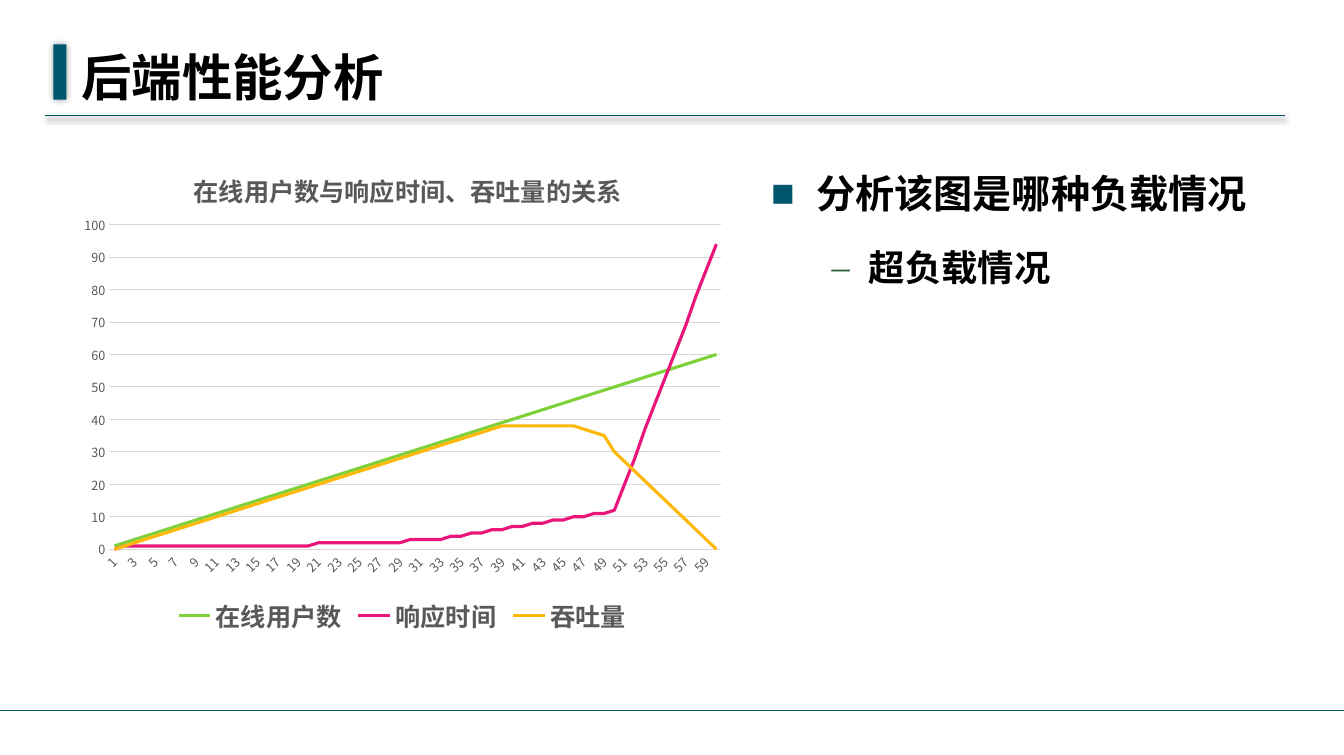
"""Build the slide on back-end performance analysis."""
from dataclasses import dataclass
from itertools import pairwise

from lxml import etree
from pptx import Presentation
from pptx.chart.data import CategoryChartData
from pptx.dml.color import RGBColor
from pptx.enum.chart import XL_CHART_TYPE, XL_LEGEND_POSITION, XL_TICK_MARK
from pptx.enum.shapes import MSO_CONNECTOR, MSO_SHAPE
from pptx.enum.text import MSO_ANCHOR
from pptx.oxml import parse_xml
from pptx.oxml.ns import nsdecls, qn
from pptx.util import Inches, Pt

LINE = XL_CHART_TYPE.LINE
BOTTOM = XL_LEGEND_POSITION.BOTTOM
NO_TICK = XL_TICK_MARK.NONE
STRAIGHT = MSO_CONNECTOR.STRAIGHT
RECT = MSO_SHAPE.RECTANGLE
MIDDLE = MSO_ANCHOR.MIDDLE

WIDE, HIGH = Inches(13.35), Inches(7.5)
SANS, SERIF = "Noto Sans CJK SC", "Times New Roman"
COLORS = {
    "teal": "00566E", "black": "000000", "gray": "595959", "grid": "D9D9D9",
    "green": "7FD13B", "pink": "EA157A", "gold": "FEB80A", "leaf": "2F6231",
}


@dataclass(frozen=True)
class Box:
    """A place in percent of the slide's width and height."""
    left: float
    top: float
    width: float
    height: float = 0

    def emu(self) -> tuple[int, int, int, int]:
        return (int(WIDE * self.left / 100), int(HIGH * self.top / 100),
                int(WIDE * self.width / 100), int(HIGH * self.height / 100))


@dataclass(frozen=True)
class Shade:
    blur: float
    dist: float
    turn: int
    alpha: int


@dataclass(frozen=True)
class Rule:
    box: Box
    shade: Shade | None = None


@dataclass(frozen=True)
class Point:
    text: str
    size: int
    mark: str
    hue: str
    level: int
    left: float
    hang: float
    before: float


@dataclass(frozen=True)
class Curve:
    name: str
    hue: str
    knots: tuple[tuple[int, int], ...]

    def values(self) -> list[int]:
        vals = [self.knots[0][1]]
        for (x, y), (end, goal) in pairwise(self.knots):
            vals += [round(y + (goal - y) * (n - x) / (end - x))
                     for n in range(x + 1, end + 1)]
        return vals


RULES = (
    Rule(Box(3.37, 15.33, 92.21), Shade(4, 1.6, 90, 42)),
    *(Rule(Box(left, 94.13, 36.48)) for left in (63.52, 0, 28.61)),
)
BAR, BAR_SHADE = Box(3.97, 5.87, 0.97, 7.33), Shade(5, 0, 0, 40)
HEAD = Box(5.17, 5.87, 67.79, 8.4)
PLOT = Box(5.17, 18.53, 49.51, 66.13)
BODY = Box(56.48, 18.53, 42, 73.47)
POINTS = (
    Point("分析该图是哪种负载情况", 28, "■", "teal", 0, 0.45, 0.45, 0),
    Point("超负载情况", 26, "–", "leaf", 1, 0.97, 0.37, 5.2),
)
CURVES = (
    Curve("在线用户数", "green", ((1, 1), (60, 60))),
    Curve("响应时间", "pink", ((1, 0), (2, 1), (20, 1), (21, 2), (29, 2), (30, 3),
                           (33, 3), (50, 12), (60, 94))),
    Curve("吞吐量", "gold", ((1, 0), (39, 38), (46, 38), (49, 35), (50, 30), (60, 0))),
)


def color(hue: str) -> RGBColor:
    return RGBColor.from_string(COLORS[hue])


def style(font, size: float, hue: str, bold: bool, face: str = SANS) -> None:
    font.size, font.bold, font.name = Pt(size), bold, face
    font.color.rgb = color(hue)
    etree.SubElement(font._rPr, qn("a:ea"), typeface=SANS)


def stroke(line, hue: str, width: float) -> None:
    line.color.rgb = color(hue)
    line.width = Pt(width)


def shadow(shape, shade: Shade | None) -> None:
    for old in shape._element.spPr.findall(qn("a:effectLst")):
        shape._element.spPr.remove(old)
    cast = "" if shade is None else (
        f'<a:outerShdw blurRad="{Pt(shade.blur)}" dist="{Pt(shade.dist)}" '
        f'dir="{shade.turn * 60000}" rotWithShape="0"><a:srgbClr val="{COLORS["black"]}">'
        f'<a:alpha val="{shade.alpha * 1000}"/></a:srgbClr></a:outerShdw>')
    shape._element.spPr.append(
        parse_xml(f'<a:effectLst {nsdecls("a")}>{cast}</a:effectLst>'))


def draw_rule(shapes, rule: Rule) -> None:
    left, top, width, _ = rule.box.emu()
    line = shapes.add_connector(STRAIGHT, left, top, left + width, top)
    stroke(line.line, "teal", 1)
    shadow(line, rule.shade)


def draw_bar(shapes) -> None:
    bar = shapes.add_shape(RECT, *BAR.emu())
    bar.fill.solid()
    bar.fill.fore_color.rgb = color("teal")
    bar.line.fill.background()
    shadow(bar, BAR_SHADE)


def add_frame(shapes, box: Box):
    frame = shapes.add_textbox(*box.emu()).text_frame
    frame.word_wrap = True
    frame.margin_left = frame.margin_right = Inches(0.12)
    frame.margin_top = frame.margin_bottom = Inches(0.06)
    return frame


def add_run(para, text: str, size: float, hue: str, face: str = SANS) -> None:
    run = para.add_run()
    run.text = text
    style(run.font, size, hue, True, face)


def add_point(para, point: Point) -> None:
    props = para._p.get_or_add_pPr()
    props.set("marL", str(Inches(point.left)))
    props.set("indent", str(-Inches(point.hang)))
    para.level, para.line_spacing, para.space_before = point.level, 1.5, Pt(point.before)
    tint = etree.SubElement(props, qn("a:buClr"))
    etree.SubElement(tint, qn("a:srgbClr"), val=COLORS[point.hue])
    etree.SubElement(props, qn("a:buFont"), typeface=SERIF)
    etree.SubElement(props, qn("a:buChar"), char=point.mark)
    add_run(para, point.text, point.size, "black", SERIF)


def place(host, parts: dict[str, float], inner: bool = False) -> None:
    """Put a chart part at set shares of the chart's size."""
    old = host.find(qn("c:layout"))
    if old is not None:
        host.remove(old)
    tags = '<c:layoutTarget val="inner"/>' if inner else ""
    tags += '<c:xMode val="edge"/><c:yMode val="edge"/>'
    tags += "".join(f'<c:{key} val="{val}"/>' for key, val in parts.items())
    host.insert(0 if inner else 1, parse_xml(
        f'<c:layout {nsdecls("c")}><c:manualLayout>{tags}</c:manualLayout></c:layout>'))


def draw_chart(shapes) -> None:
    data = CategoryChartData()
    data.categories = [str(n) for n in range(1, 61)]
    for curve in CURVES:
        data.add_series(curve.name, curve.values())
    chart = shapes.add_chart(LINE, *PLOT.emu(), data).chart
    style(chart.font, 10, "black", False)
    add_run(chart.chart_title.text_frame.paragraphs[0],
            "在线用户数与响应时间、吞吐量的关系", 18, "gray")
    place(chart.chart_title._element, {"x": 0.18, "y": 0.05})
    chart.has_legend = True
    chart.legend.position, chart.legend.include_in_layout = BOTTOM, False
    style(chart.legend.font, 18, "gray", True)
    cats, vals = chart.category_axis, chart.value_axis
    for axis in (cats, vals):
        axis.major_tick_mark = axis.minor_tick_mark = NO_TICK
        style(axis.tick_labels.font, 9, "gray", False)
    stroke(cats.format.line, "grid", 0.75)
    cats._element.find(qn("c:txPr")).find(qn("a:bodyPr")).set("rot", "-2700000")
    cats._element.find(qn("c:noMultiLvlLbl")).addprevious(
        parse_xml(f'<c:tickLblSkip {nsdecls("c")} val="2"/>'))
    vals.format.line.fill.background()
    vals.minimum_scale, vals.maximum_scale, vals.major_unit = 0, 100, 10
    stroke(vals.major_gridlines.format.line, "grid", 0.75)
    plot = chart.plots[0]
    plot.vary_by_categories = False
    for curve, row in zip(CURVES, plot.series):
        row.smooth = False
        stroke(row.format.line, curve.hue, 2.25)
    place(plot._element.getparent(), {"x": 0.06, "y": 0.17, "w": 0.92, "h": 0.65}, True)


def main() -> None:
    deck = Presentation()
    deck.slide_width, deck.slide_height = WIDE, HIGH
    shapes = deck.slides.add_slide(deck.slide_layouts[6]).shapes
    for rule in RULES:
        draw_rule(shapes, rule)
    draw_bar(shapes)
    head = add_frame(shapes, HEAD)
    head.vertical_anchor = MIDDLE
    add_run(head.paragraphs[0], "后端性能分析", 36, "black")
    draw_chart(shapes)
    body = add_frame(shapes, BODY)
    for n, point in enumerate(POINTS):
        add_point(body.add_paragraph() if n else body.paragraphs[0], point)
    deck.save("out.pptx")


if __name__ == "__main__":
    main()
